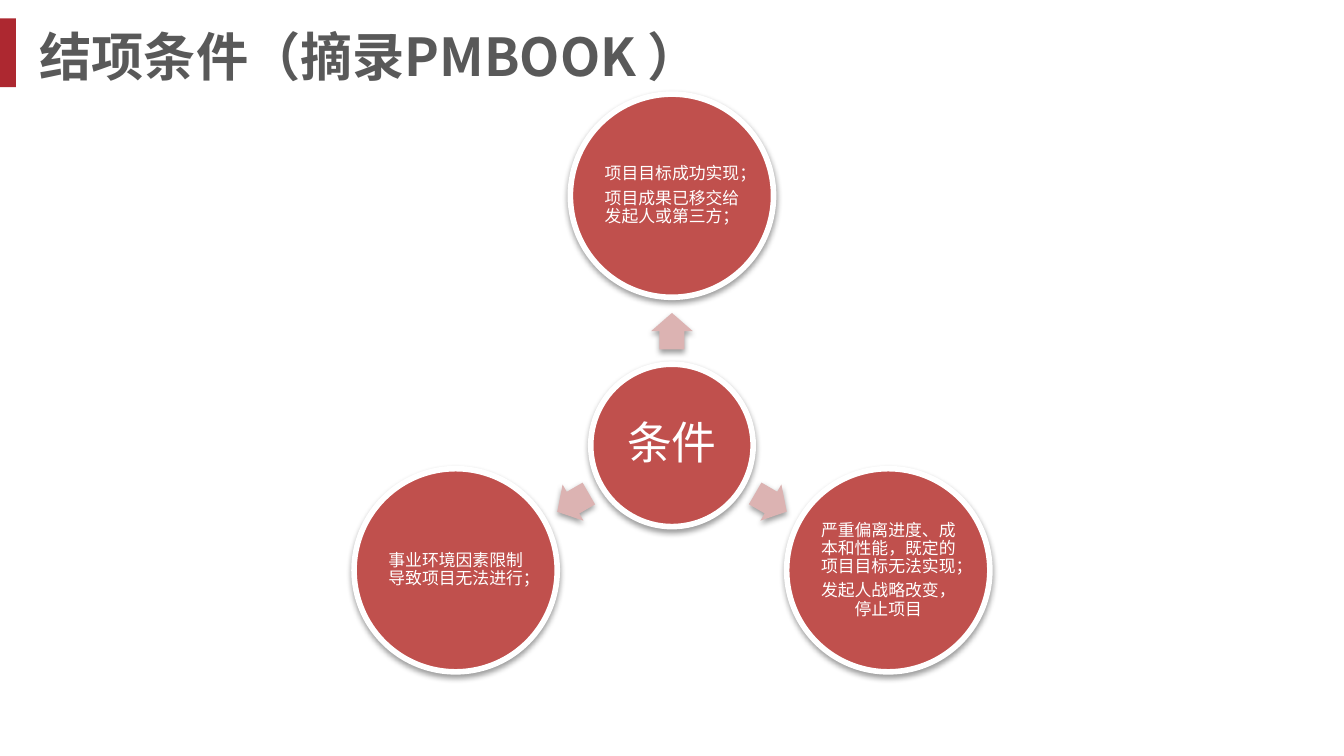
import math
from dataclasses import dataclass

import lxml.etree
import pptx
import pptx.dml.color
import pptx.enum.shapes
import pptx.enum.text
import pptx.oxml.ns
import pptx.util

Cm = pptx.util.Cm
Pt = pptx.util.Pt
RGB = pptx.dml.color.RGBColor
qn = pptx.oxml.ns.qn
Preset = pptx.enum.shapes.MSO_SHAPE
Align = pptx.enum.text.PP_ALIGN
Anchor = pptx.enum.text.MSO_ANCHOR


@dataclass(frozen=True)
class Theme:
    accent: RGB = RGB(0xAD, 0x28, 0x30)
    heading: RGB = RGB(0x59, 0x59, 0x59)
    circle: RGB = RGB(0xC0, 0x50, 0x4D)
    arrow: RGB = RGB(0xDC, 0xB3, 0xB2)
    white: RGB = RGB(0xFF, 0xFF, 0xFF)
    cjk_font: str = "Noto Sans CJK SC"
    latin_font: str = "Arial"
    heading_size: int = 28
    hub_size: int = 24
    condition_size: int = 9


@dataclass(frozen=True)
class Circle:
    x: float
    y: float
    diameter: float
    paragraphs: tuple[str, ...]
    size: int
    font: str
    inset: float


@dataclass(frozen=True)
class Condition:
    angle: int
    paragraphs: tuple[str, ...]
    font: str


THEME = Theme()
HUB_X, HUB_Y, HUB_DIAMETER = 12.7, 8.42, 3.07
ORBIT, CONDITION_DIAMETER = 4.72, 3.84
ARROW_ORBIT, ARROW_LENGTH, ARROW_WIDTH = 2.16, 0.69, 0.79

CONDITIONS = (
    Condition(270, ("项目目标成功实现；", "项目成果已移交给发起人或第三方；"), THEME.cjk_font),
    Condition(30, ("严重偏离进度、成本和性能，既定的项目目标无法实现；",
                   "发起人战略改变，停止项目"), THEME.cjk_font),
    Condition(150, ("事业环境因素限制导致项目无法进行；",), THEME.latin_font),
)


def apply_format(target: object, values: dict[str, object]) -> None:
    for name, value in values.items():
        setattr(target, name, value)


def add_run(paragraph, text: str, size: int, font: str, color: RGB, bold: bool = False) -> None:
    run = paragraph.add_run()
    run.text = text
    apply_format(run.font, {"size": Pt(size), "name": font, "bold": bold})
    run.font.color.rgb = color
    east_asian = lxml.etree.Element(qn("a:ea"), typeface=THEME.cjk_font)
    run.font._element.find(qn("a:latin")).addnext(east_asian)


def add_filled(slide, preset: Preset, x: float, y: float, width: float, height: float, fill: RGB):
    shape = slide.shapes.add_shape(
        preset, Cm(x - width / 2), Cm(y - height / 2), Cm(width), Cm(height))
    shape.shadow.inherit = False
    shape.fill.solid()
    shape.fill.fore_color.rgb = fill
    shape.line.fill.background()
    return shape


def add_shadow(shape) -> None:
    effects = shape._element.spPr.find(qn("a:effectLst"))
    shadow = lxml.etree.SubElement(
        effects, qn("a:outerShdw"), blurRad=str(Pt(3.1)), dist=str(Pt(1.6)),
        dir="5400000", rotWithShape="0")
    color = lxml.etree.SubElement(shadow, qn("a:srgbClr"), val="000000")
    lxml.etree.SubElement(color, qn("a:alpha"), val="38000")


def add_heading(slide, text: str) -> None:
    add_filled(slide, Preset.RECTANGLE, 0.15, 1.0, 0.3, 1.3, THEME.accent)
    frame = slide.shapes.add_textbox(Cm(0.5), Cm(0.36), Cm(20.6), Cm(1.4)).text_frame
    apply_format(frame, {"word_wrap": True, "vertical_anchor": Anchor.MIDDLE})
    add_run(frame.paragraphs[0], text, THEME.heading_size, THEME.cjk_font, THEME.heading, True)


def add_circle(slide, circle: Circle) -> None:
    shape = add_filled(slide, Preset.OVAL, circle.x, circle.y,
                       circle.diameter, circle.diameter, THEME.circle)
    shape.line.color.rgb = THEME.white
    shape.line.width = Pt(3)
    add_shadow(shape)
    frame = shape.text_frame
    apply_format(frame, {"word_wrap": True, "vertical_anchor": Anchor.MIDDLE})
    apply_format(frame, {f"margin_{side}": Cm(circle.inset)
                         for side in ("left", "top", "right", "bottom")})
    for index, text in enumerate(circle.paragraphs):
        paragraph = frame.add_paragraph() if index else frame.paragraphs[0]
        apply_format(paragraph, {"alignment": Align.CENTER, "line_spacing": 0.9,
                                 "space_after": Pt(0.35 * circle.size)})
        add_run(paragraph, text, circle.size, circle.font, THEME.white)


def orbit_point(angle: int, radius: float) -> tuple[float, float]:
    radians = math.radians(angle)
    return HUB_X + radius * math.cos(radians), HUB_Y + radius * math.sin(radians)


def add_condition(slide, condition: Condition) -> None:
    arrow = add_filled(slide, Preset.RIGHT_ARROW, *orbit_point(condition.angle, ARROW_ORBIT),
                       ARROW_LENGTH, ARROW_WIDTH, THEME.arrow)
    arrow.rotation = condition.angle
    arrow.adjustments[0] = 0.6
    arrow.adjustments[1] = 0.5
    add_shadow(arrow)
    add_circle(slide, Circle(*orbit_point(condition.angle, ORBIT), CONDITION_DIAMETER,
                             condition.paragraphs, THEME.condition_size, condition.font, 0.03))


def main() -> None:
    deck = pptx.Presentation()
    apply_format(deck, {"slide_width": Cm(25.4), "slide_height": Cm(14.29)})
    slide = deck.slides.add_slide(deck.slide_layouts[6])
    add_heading(slide, "结项条件（摘录PMBOOK ）")
    add_circle(slide, Circle(HUB_X, HUB_Y, HUB_DIAMETER, ("条件",),
                             THEME.hub_size, THEME.latin_font, 0.08))
    for condition in CONDITIONS:
        add_condition(slide, condition)
    deck.save("out.pptx")


if __name__ == "__main__":
    main()
